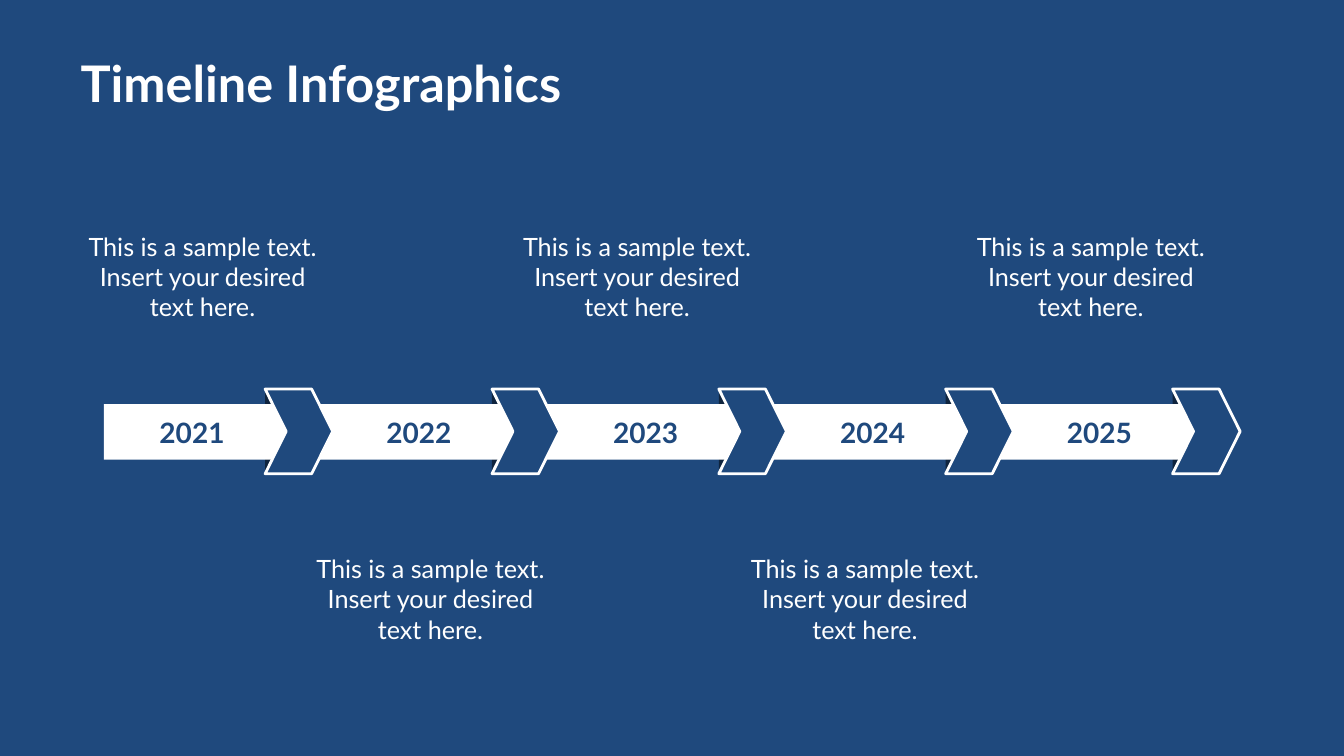
from pptx import Presentation
from pptx.dml.color import RGBColor
from pptx.enum.shapes import MSO_SHAPE
from pptx.enum.text import MSO_ANCHOR, PP_ALIGN
from pptx.util import Inches, Pt

# Content
TITLE = "Timeline Infographics"
SAMPLE = "This is a sample text. Insert your desired text here."
# Year, caption text, caption left edge
MILESTONES = [
    ("2021", SAMPLE, 0.76),
    ("2022", SAMPLE, 3.02),
    ("2023", SAMPLE, 5.07),
    ("2024", SAMPLE, 7.33),
    ("2025", SAMPLE, 9.57),
]

# Look and layout, in inches
NAVY, SHADE, WHITE = "1F497D", "0F243E", "FFFFFF"
FONT = "Lato"
STEP = 2.25
YEAR_LEFT, YEAR_TOP = 1.27, 4.12
ARROW_LEFT, ARROW_TOP, ARROW_HEIGHT = 2.63, 3.86, 0.84
ABOVE, BELOW = 2.29, 5.49


def color(value):
    return RGBColor.from_string(value)


def write(frame, text, size=18, ink=WHITE, bold=False, align=PP_ALIGN.CENTER,
          anchor=MSO_ANCHOR.TOP, inset=(0, 0)):
    frame.word_wrap = True
    frame.vertical_anchor = anchor
    frame.margin_left = frame.margin_right = Inches(inset[0])
    frame.margin_top = frame.margin_bottom = Inches(inset[1])
    paragraph = frame.paragraphs[0]
    paragraph.text = text
    paragraph.alignment = align
    font = paragraph.runs[0].font
    font.name, font.size, font.bold = FONT, Pt(size), bold
    font.color.rgb = color(ink)


def add_block(kind, box, fill, line=None):
    block = slide.shapes.add_shape(kind, *map(Inches, box))
    block.shadow.inherit = False
    block.fill.solid()
    block.fill.fore_color.rgb = color(fill)
    if line:
        block.line.color.rgb = color(line)
        block.line.width = Pt(2)
    else:
        block.line.fill.background()
    return block


def add_label(box, text, **style):
    label = slide.shapes.add_textbox(*map(Inches, box))
    write(label.text_frame, text, **style)


presentation = Presentation()
presentation.slide_width = Inches(13.33)
presentation.slide_height = Inches(7.5)
slide = presentation.slides.add_slide(presentation.slide_layouts[5])
slide.background.fill.solid()
slide.background.fill.fore_color.rgb = color(NAVY)

# Title
title = slide.shapes.title
title.left, title.top, title.width, title.height = map(Inches, (0.67, 0.43, 12, 0.78))
write(title.text_frame, TITLE, size=36, bold=True, align=PP_ALIGN.LEFT,
      anchor=MSO_ANCHOR.MIDDLE, inset=(0.13, 0.07))

# Folded shades behind the bar, then the bar, then the arrows
arrow_lefts = [ARROW_LEFT + STEP * i for i in range(len(MILESTONES))]
for left in arrow_lefts:
    add_block(MSO_SHAPE.RECTANGLE, (left, ARROW_TOP, 0.44, ARROW_HEIGHT), SHADE)
add_block(MSO_SHAPE.RECTANGLE, (1.03, 4.01, 11.05, 0.55), WHITE)
for left in arrow_lefts:
    arrow = add_block(MSO_SHAPE.CHEVRON, (left, ARROW_TOP, 0.67, ARROW_HEIGHT), NAVY, WHITE)
    arrow.adjustments[0] = 0.311

# Years on the bar, captions alternating above and below
for i, (year, caption, caption_left) in enumerate(MILESTONES):
    add_label((YEAR_LEFT + STEP * i, YEAR_TOP, 1.27, 0.32), year,
              size=20, ink=NAVY, bold=True)
    caption_top = BELOW if i % 2 else ABOVE
    add_label((caption_left, caption_top, 2.5, 0.91), caption)

presentation.save("out.pptx")
